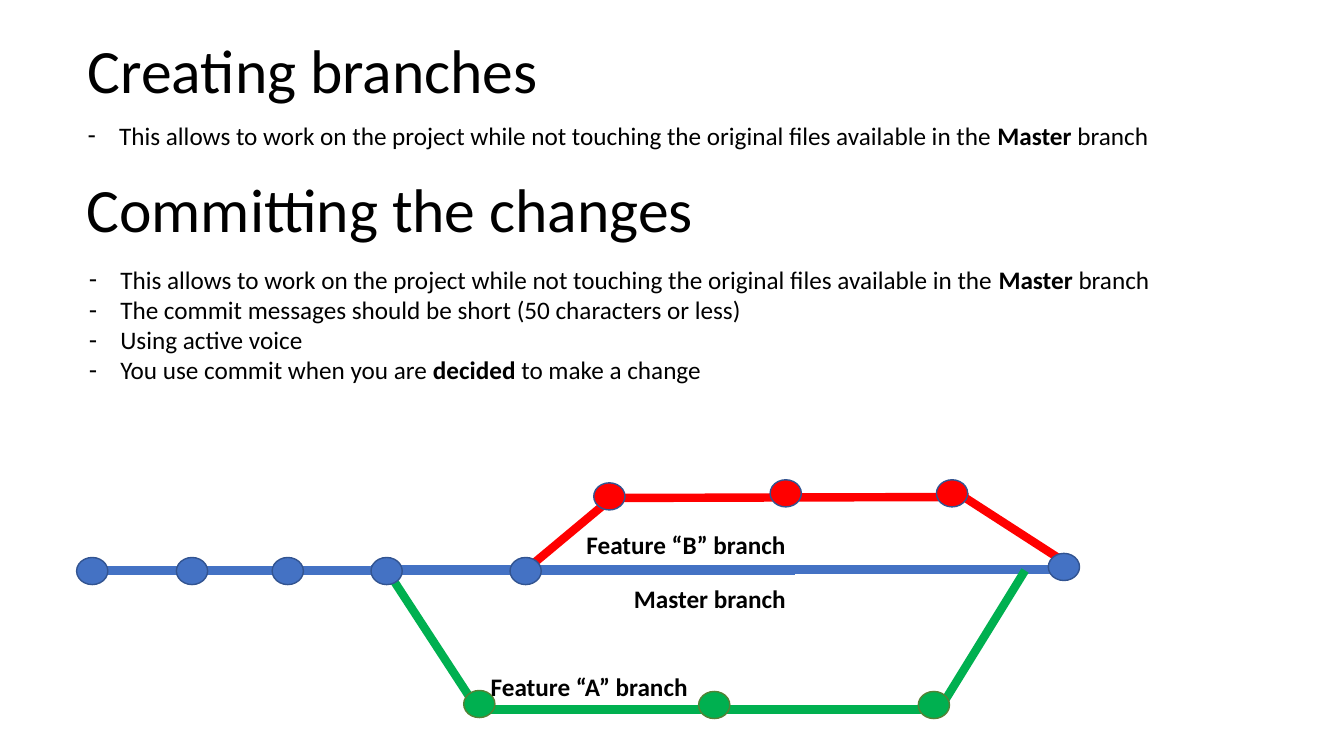
from typing import NamedTuple

from lxml.etree import SubElement
from pptx import Presentation
from pptx.dml.color import RGBColor
from pptx.enum.shapes import MSO_CONNECTOR, MSO_SHAPE
from pptx.enum.text import MSO_ANCHOR, MSO_AUTO_SIZE, PP_ALIGN
from pptx.oxml.ns import qn
from pptx.util import Pt

FONT = "Calibri"
BLACK = "000000"
BLUE, RED, GREEN = "4472C4", "FF0000", "00B050"
BLUE_EDGE, GREEN_EDGE = "325491", "548235"
COMMIT_WIDTH, COMMIT_HEIGHT = 22.3, 19.4
LIST_INDENT = 22.5


class Box(NamedTuple):
    left: float
    top: float
    width: float
    height: float


class Track(NamedTuple):
    start: tuple[float, float]
    end: tuple[float, float]


class Branch(NamedTuple):
    color: str
    edge: str
    tracks: list[Track]
    commits: list[tuple[float, float]]  # left, top
    label: str
    label_at: tuple[float, float]


BRANCHES = [
    Branch(
        BLUE, BLUE_EDGE,
        [Track((69.8, 407.5), (568.1, 407.5)), Track((265, 406.8), (763.2, 406.8))],
        [(left, 398.2) for left in (54.7, 126, 194.4, 265, 364.3)] + [(748.8, 395.3)],
        "Master branch", (445.7, 413.3),
    ),
    Branch(
        GREEN, GREEN_EDGE,
        [Track((341.3, 506.9), (667.4, 506.9)),
         Track((276.5, 407.5), (341.3, 506.9)),
         Track((669.6, 509), (732.2, 407.5))],
        [(331.2, 493.2), (499, 493.9), (655.9, 493.9)],
        "Feature “A” branch", (343.4, 475.9),
    ),
    Branch(
        RED, BLUE_EDGE,
        [Track((436.3, 356.4), (375.1, 407.5)),
         Track((436.3, 355.7), (691.9, 355)),
         Track((763.2, 403.2), (686.2, 353.5))],
        [(424.1, 344.9), (550.1, 342.7), (668.9, 342.7)],
        "Feature “B” branch", (411.8, 374.4),
    ),
]

# Words between asterisks are bold.
BRANCHING_POINT = ("This allows to work on the project while not touching "
                   "the original files available in the *Master *branch")
COMMIT_POINTS = [
    BRANCHING_POINT,
    "The commit messages should be short (50 characters or less)",
    "Using active voice",
    "You use commit when you are *decided* to make a change",
]


def rgb(color: str) -> RGBColor:
    return RGBColor.from_string(color)


def place(shape, box: Box) -> None:
    shape.left, shape.top, shape.width, shape.height = map(Pt, box)


def format_font(paragraph, size: float, bold: bool | None = None) -> None:
    font = paragraph.font
    font.name, font.size, font.bold = FONT, Pt(size), bold
    font.color.rgb = rgb(BLACK)


def prepare_frame(shape, anchor: MSO_ANCHOR):
    frame = shape.text_frame
    frame.word_wrap = True
    frame.auto_size = MSO_AUTO_SIZE.NONE
    frame.vertical_anchor = anchor
    return frame


def write_heading(shape, text: str) -> None:
    paragraph = prepare_frame(shape, MSO_ANCHOR.MIDDLE).paragraphs[0]
    paragraph.text = text
    paragraph.alignment = PP_ALIGN.LEFT
    paragraph.line_spacing = 0.9
    format_font(paragraph, 44)


def add_dash(paragraph) -> None:
    properties = paragraph._p.get_or_add_pPr()
    properties.set("marL", str(Pt(LIST_INDENT)))
    properties.set("indent", str(-Pt(LIST_INDENT)))
    SubElement(properties, qn("a:buChar"), char="-")


def write_list(shape, points: list[str]) -> None:
    frame = prepare_frame(shape, MSO_ANCHOR.TOP)
    for number, point in enumerate(points):
        paragraph = frame.add_paragraph() if number else frame.paragraphs[0]
        paragraph.line_spacing = 1.0
        paragraph.space_before = Pt(0)
        add_dash(paragraph)
        format_font(paragraph, 18)
        for part, words in enumerate(point.split("*")):
            run = paragraph.add_run()
            run.text = words
            if part % 2:
                run.font.bold = True


def draw_track(shapes, track: Track, color: str) -> None:
    line = shapes.add_connector(MSO_CONNECTOR.STRAIGHT,
                                *map(Pt, track.start + track.end))
    line.line.color.rgb = rgb(color)
    line.line.width = Pt(6)
    SubElement(line._element.spPr, qn("a:effectLst"))


def draw_commit(shapes, at: tuple[float, float], color: str, edge: str) -> None:
    commit = shapes.add_shape(MSO_SHAPE.OVAL, *map(Pt, at),
                              Pt(COMMIT_WIDTH), Pt(COMMIT_HEIGHT))
    commit.shadow.inherit = False
    commit.fill.solid()
    commit.fill.fore_color.rgb = rgb(color)
    commit.line.color.rgb = rgb(edge)
    commit.line.width = Pt(1)


def draw_label(shapes, text: str, at: tuple[float, float]) -> None:
    label = shapes.add_textbox(*map(Pt, at), Pt(185.8), Pt(28.8))
    paragraph = prepare_frame(label, MSO_ANCHOR.TOP).paragraphs[0]
    paragraph.text = text
    format_font(paragraph, 18, bold=True)


def main() -> None:
    presentation = Presentation()
    presentation.slide_width, presentation.slide_height = Pt(960), Pt(540)
    two_content = presentation.slide_layouts[3]
    shapes = presentation.slides.add_slide(two_content).shapes
    title, branching_list, commit_list = shapes.placeholders

    place(title, Box(55.4, 0, 828, 104.4))
    write_heading(title, "Creating branches")
    place(branching_list, Box(55.4, 82.1, 781.2, 51.1))
    write_list(branching_list, [BRANCHING_POINT])

    commit_heading = shapes.add_textbox(*map(Pt, Box(54.7, 99.4, 828, 104.4)))
    write_heading(commit_heading, "Committing the changes")
    place(commit_list, Box(56.2, 185, 781.2, 116.6))
    write_list(commit_list, COMMIT_POINTS)

    for branch in BRANCHES:
        for track in branch.tracks:
            draw_track(shapes, track, branch.color)
        draw_label(shapes, branch.label, branch.label_at)
    for branch in BRANCHES:
        for commit_at in branch.commits:
            draw_commit(shapes, commit_at, branch.color, branch.edge)

    presentation.save("out.pptx")


if __name__ == "__main__":
    main()
